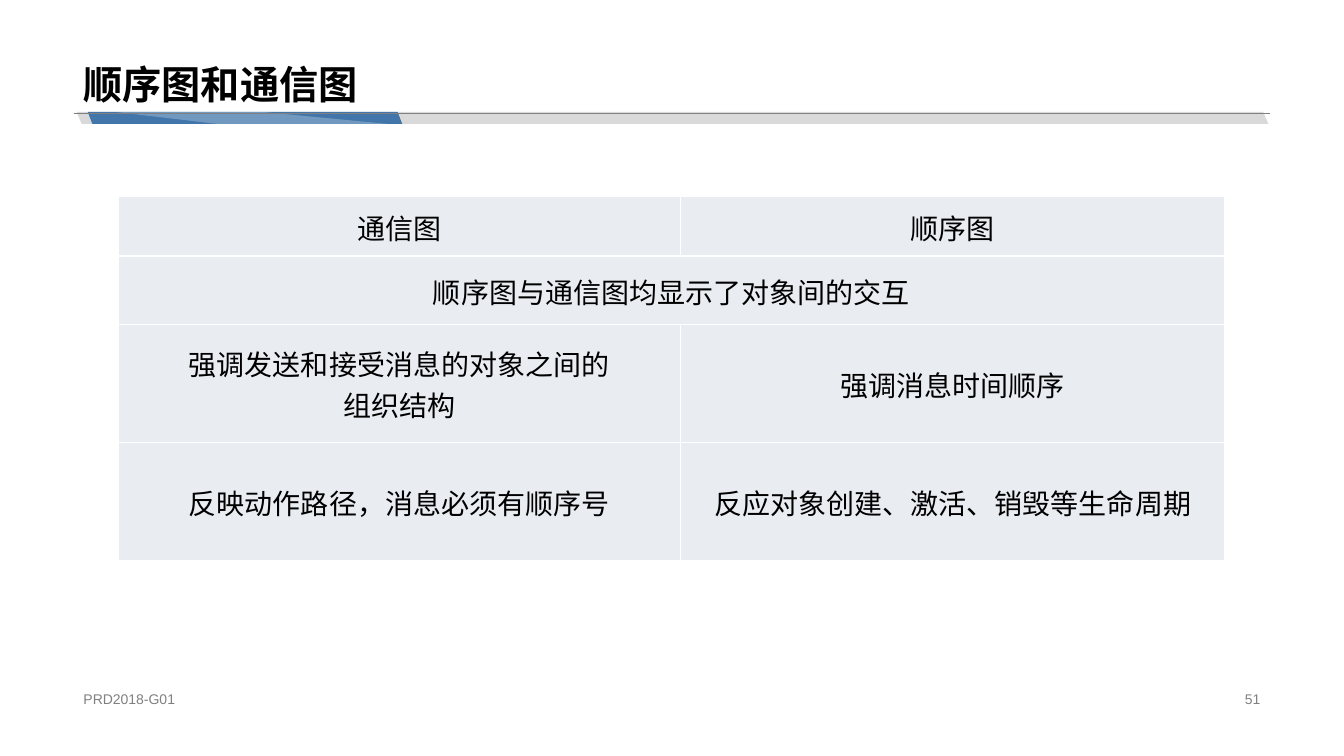
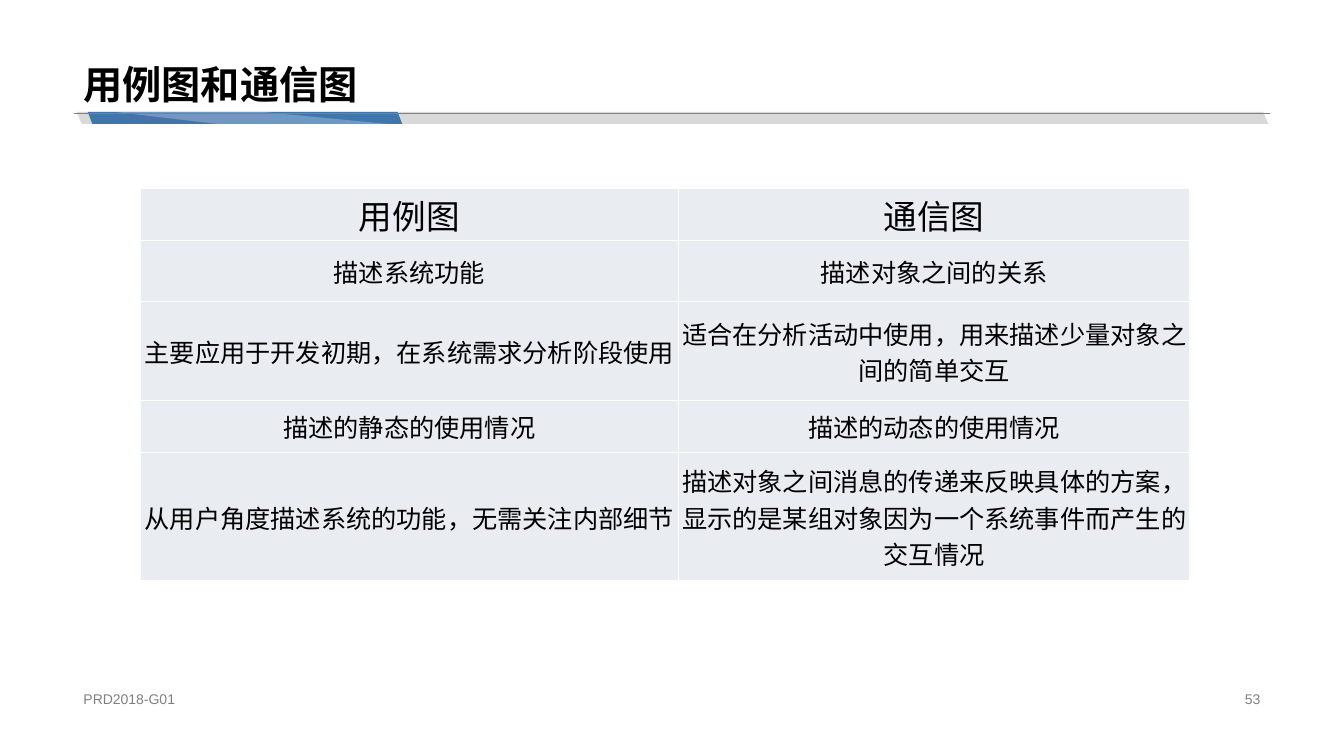
from lxml import etree
from pptx import Presentation
from pptx.dml.color import RGBColor
from pptx.enum.shapes import MSO_CONNECTOR, MSO_SHAPE
from pptx.enum.text import MSO_ANCHOR, PP_ALIGN
from pptx.oxml.ns import qn
from pptx.util import Inches, Pt

LEFT, CENTER, RIGHT = PP_ALIGN.LEFT, PP_ALIGN.CENTER, PP_ALIGN.RIGHT
MIDDLE, BOTTOM = MSO_ANCHOR.MIDDLE, MSO_ANCHOR.BOTTOM
PARALLELOGRAM, STRAIGHT = MSO_SHAPE.PARALLELOGRAM, MSO_CONNECTOR.STRAIGHT

SLIDE_WIDTH, SLIDE_HEIGHT = 13.33, 7.5
MARGIN = 0.73
CONTENT_WIDTH = SLIDE_WIDTH - 2 * MARGIN
BAND_TOP, BAND_HEIGHT = 1.11, 0.12
RULE_TOP = 1.12
FOOTER_TOP, FOOTER_HEIGHT = 6.82, 0.23
BLANK_LAYOUT = 6

BLACK, WHITE, GRAY = "000000", "FFFFFF", "808080"
BAND_GRAY, BAND_BLUE, CELL_FILL = "D9D9D9", "4276AA", "E9ECF1"
FONT = "Arial"
TITLE_FORMAT = {"name": FONT, "size": Pt(28), "bold": True}
FOOTER_FORMAT = {"name": FONT, "size": Pt(10), "bold": False}
CELL_MARGINS = {"margin_left": 0.01, "margin_right": 0.01, "margin_top": 0.01, "margin_bottom": 0}
BORDER_TAGS = ("a:lnL", "a:lnR", "a:lnT", "a:lnB")

PAGES = [
    {
        "title": "顺序图和通信图",
        "number": "51",
        "corner": (1.17, 1.95),
        "columns": (5.58, 5.4),
        "rows": (0.59, 0.68, 1.17, 1.17),
        "sizes": (20, 20),
        "cells": [
            ("通信图", "顺序图"),
            ("顺序图与通信图均显示了对象间的交互",),
            ("强调发送和接受消息的对象之间的\n组织结构", "强调消息时间顺序"),
            ("反映动作路径，消息必须有顺序号", "反应对象创建、激活、销毁等生命周期"),
        ],
    },
    {
        "title": "用例图和通信图",
        "number": "53",
        "corner": (1.39, 1.87),
        "columns": (5.34, 5.07),
        "rows": (0.52, 0.6, 0.98, 0.52, 1.27),
        "sizes": (24, 18),
        "cells": [
            ("用例图", "通信图"),
            ("描述系统功能", "描述对象之间的关系"),
            ("主要应用于开发初期，在系统需求分析阶段使用",
             "适合在分析活动中使用，用来描述少量对象之间的简单交互"),
            ("描述的静态的使用情况", "描述的动态的使用情况"),
            ("从用户角度描述系统的功能，无需关注内部细节",
             "描述对象之间消息的传递来反映具体的方案，显示的是某组对象因为一个系统事件而产生的交互情况"),
        ],
    },
]


def set_color(target, color):
    """Give a color format the colour of a hex string."""
    target.rgb = RGBColor.from_string(color)


def set_values(target, values):
    """Set every attribute named in a dict of format values."""
    for name, value in values.items():
        setattr(target, name, value)


def fill_plain(shape, color):
    """Give a shape a solid fill without outline or shadow."""
    shape.shadow.inherit = False
    shape.fill.solid()
    set_color(shape.fill.fore_color, color)
    shape.line.fill.background()


def style_para(para, color, font_format, align):
    """Set the alignment and font of a paragraph's runs."""
    para.alignment = align
    for span in para.runs:
        set_values(span.font, font_format)
        set_color(span.font.color, color)


def add_text(page, bounds, text, color, font_format, align=LEFT, anchor=MIDDLE, spacing=1.0):
    """Add a one-paragraph text box."""
    box = page.shapes.add_textbox(*map(Inches, bounds))
    frame = box.text_frame
    set_values(frame, {"word_wrap": True, "vertical_anchor": anchor, "text": text})
    para = frame.paragraphs[0]
    para.line_spacing = spacing
    style_para(para, color, font_format, align)


def add_band(page, left, width, slant, color):
    """Add a mirrored parallelogram band under the title."""
    bounds = map(Inches, (left, BAND_TOP, width, BAND_HEIGHT))
    band = page.shapes.add_shape(PARALLELOGRAM, *bounds)
    band.adjustments[0] = slant
    band.element.spPr.find(qn("a:xfrm")).set("flipH", "1")
    fill_plain(band, color)


def add_gleam(page):
    """Add the translucent highlight over the blue band."""
    bottom = BAND_TOP + BAND_HEIGHT
    points = [(3.85, bottom), (2.6, BAND_TOP), (1.14, BAND_TOP), (2.16, bottom)]
    start, *others = [(Inches(x), Inches(y)) for x, y in points]
    builder = page.shapes.build_freeform(*start)
    builder.add_line_segments(others, close=True)
    gleam = builder.convert_to_shape()
    fill_plain(gleam, WHITE)
    color = gleam.element.spPr.find(qn("a:solidFill")).find(qn("a:srgbClr"))
    etree.SubElement(color, qn("a:alpha"), val="25000")


def add_rule(page):
    """Add the thin line under the title."""
    ends = (MARGIN, RULE_TOP, MARGIN + CONTENT_WIDTH, RULE_TOP)
    rule = page.shapes.add_connector(STRAIGHT, *map(Inches, ends))
    rule.line.width = Pt(0.25)
    set_color(rule.line.color, GRAY)
    etree.SubElement(rule.element.spPr, qn("a:effectLst"))


def add_frame(page, title, number):
    """Add the title, bands and footer shared by the pages."""
    add_band(page, 0.76, 11.82, 0.424, BAND_GRAY)
    add_band(page, 0.87, 3.12, 0.388, BAND_BLUE)
    add_gleam(page)
    add_rule(page)
    add_text(page, (MARGIN, 0, CONTENT_WIDTH, RULE_TOP), title, BLACK, TITLE_FORMAT,
             anchor=BOTTOM, spacing=0.9)
    add_text(page, (MARGIN, FOOTER_TOP, 4.53, FOOTER_HEIGHT), "PRD2018-G01", GRAY, FOOTER_FORMAT)
    number_width = 3.18
    number_left = MARGIN + CONTENT_WIDTH - number_width
    add_text(page, (number_left, FOOTER_TOP, number_width, FOOTER_HEIGHT), number, GRAY,
             FOOTER_FORMAT, align=RIGHT)


def style_cell(cell):
    """Give a cell its borders, fill, margins and anchor."""
    properties = cell._tc.get_or_add_tcPr()
    for tag in BORDER_TAGS:
        border = etree.SubElement(properties, qn(tag), w=str(Pt(1)))
        fill = etree.SubElement(border, qn("a:solidFill"))
        etree.SubElement(fill, qn("a:srgbClr"), val=WHITE)
    cell.fill.solid()
    set_color(cell.fill.fore_color, CELL_FILL)
    cell.vertical_anchor = MIDDLE
    set_values(cell, {name: Inches(value) for name, value in CELL_MARGINS.items()})


def add_comparison(page, corner, columns, rows, sizes, cells):
    """Add a comparison table; a row with one text spans all columns."""
    bounds = map(Inches, (*corner, sum(columns), sum(rows)))
    table = page.shapes.add_table(len(rows), len(columns), *bounds).table
    set_values(table, {"first_row": False, "horz_banding": False})
    for column, width in zip(table.columns, columns):
        column.width = Inches(width)
    for row, height in zip(table.rows, rows):
        row.height = Inches(height)
    for cell in table.iter_cells():
        style_cell(cell)
    header_size, body_size = sizes
    for index, texts in enumerate(cells):
        if len(texts) == 1:
            table.cell(index, 0).merge(table.cell(index, len(columns) - 1))
        size = body_size if index else header_size
        font_format = {"name": FONT, "size": Pt(size), "bold": False}
        for position, text in enumerate(texts):
            cell = table.cell(index, position)
            cell.text = text
            for para in cell.text_frame.paragraphs:
                style_para(para, BLACK, font_format, CENTER)


def main():
    """Build the deck and save it."""
    deck = Presentation()
    deck.slide_width, deck.slide_height = Inches(SLIDE_WIDTH), Inches(SLIDE_HEIGHT)
    for content in PAGES:
        page = deck.slides.add_slide(deck.slide_layouts[BLANK_LAYOUT])
        add_frame(page, content["title"], content["number"])
        add_comparison(page, content["corner"], content["columns"], content["rows"],
                       content["sizes"], content["cells"])
    deck.save("out.pptx")


if __name__ == "__main__":
    main()
